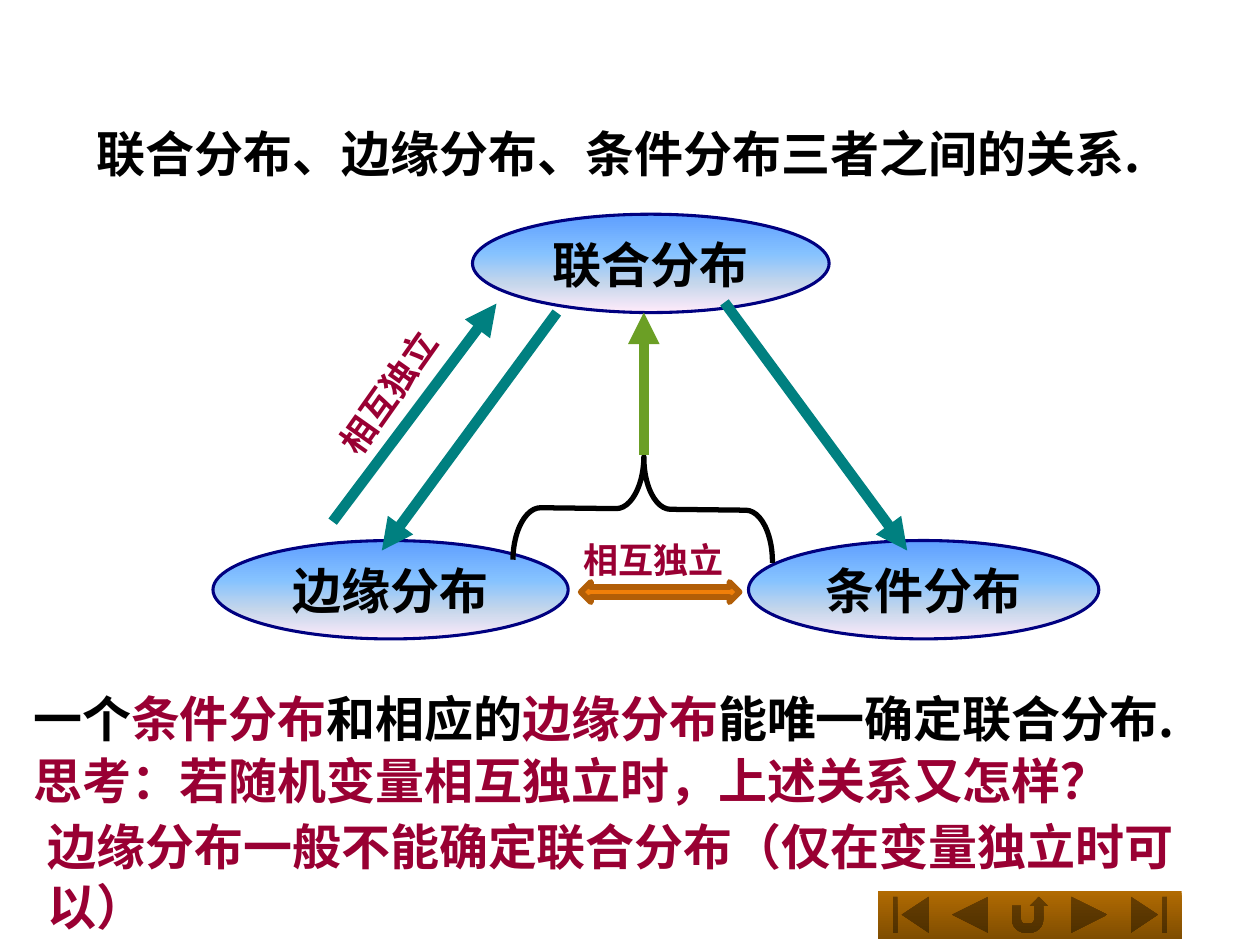
"""Build the slide on how joint, marginal and conditional distributions relate."""
from dataclasses import dataclass

from lxml import etree
from pptx import Presentation
from pptx.dml.color import RGBColor
from pptx.enum import shapes as kinds, text as txt
from pptx.oxml import ns
from pptx.util import Pt

BLACK = RGBColor(0x00, 0x00, 0x00)
RED = RGBColor(0x99, 0x00, 0x33)
NAVY = RGBColor(0x00, 0x00, 0x80)
TEAL = RGBColor(0x00, 0x80, 0x80)
GREEN = RGBColor(0x6B, 0x9F, 0x25)
ORANGE = RGBColor(0xF0, 0x7F, 0x09)
BROWN = RGBColor(0xB2, 0x5E, 0x07)
SKY = ((0, RGBColor(0x5E, 0x9E, 0xFF)), (40, RGBColor(0x85, 0xC2, 0xFF)),
       (70, RGBColor(0xC4, 0xD6, 0xEB)), (100, RGBColor(0xFF, 0xEB, 0xFA)))
WOOD = ((0, RGBColor(0xB2, 0x6B, 0x02)), (100, RGBColor(0x7F, 0x4D, 0x01)))
SANS, HAN = "DejaVu Sans", "Noto Sans CJK SC"
SHAPE = kinds.MSO_SHAPE


@dataclass
class Box:
    left: float
    top: float
    width: float
    height: float

    def frame(self) -> tuple:
        return Pt(self.left), Pt(self.top), Pt(self.width), Pt(self.height)


@dataclass
class Node:
    box: Box
    name: str


@dataclass
class Arrow:
    start: tuple
    end: tuple
    color: RGBColor = TEAL


@dataclass
class Line:
    box: Box
    spans: tuple
    inset: float = 7.2


@dataclass
class Label:
    left: float
    top: float
    turn: float = 0


NODES = (
    Node(Box(270, 122.4, 203.8, 56.2), "联合分布"),
    Node(Box(121.7, 308.9, 203, 56.2), "边缘分布"),
    Node(Box(427.7, 308.9, 200.2, 56.2), "条件分布"),
)
ARROWS = (
    Arrow((367.9, 259.9), (367.9, 178.6), GREEN),
    Arrow((318.2, 178.6), (218.2, 314.6)),
    Arrow((414, 172.8), (518.4, 314.6)),
    Arrow((190.1, 298.1), (283.7, 173.5)),
)
LINES = (
    Line(Box(48.2, 65.5, 612, 41),
         (("联合分布、边缘分布、条件分布三者之间的关系.", BLACK),)),
    Line(Box(5, 388.1, 715, 41),
         (("一个", BLACK), ("条件分布", RED), ("和相应的", BLACK),
          ("边缘分布", RED), ("能唯一确定联合分布.", BLACK)), 14),
    Line(Box(5, 423.4, 715, 41),
         (("思考：若随机变量相互独立时，上述关系又怎样？", RED),), 14),
    Line(Box(20.2, 461.5, 692, 75),
         (("边缘分布一般不能确定联合分布（仅在变量独立时可以）", RED),)),
)
LABELS = (Label(326.2, 303.8), Label(174.2, 207.4, 305.2))
KEYS = (SHAPE.ACTION_BUTTON_BEGINNING, SHAPE.ACTION_BUTTON_BACK_OR_PREVIOUS,
        SHAPE.ACTION_BUTTON_RETURN, SHAPE.ACTION_BUTTON_FORWARD_OR_NEXT,
        SHAPE.ACTION_BUTTON_END)


def style(run, color: RGBColor, size: float, face: str = HAN) -> None:
    font = run.font
    font.size, font.bold, font.name = Pt(size), True, face
    font.color.rgb = color
    east = etree.Element(ns.qn("a:ea"), typeface=HAN)
    run._r.rPr.find(ns.qn("a:latin")).addnext(east)


def blend(shape, stops: tuple) -> None:
    shape.fill.gradient()
    shape.fill.gradient_angle = 270
    grad = shape._element.spPr.find(ns.qn("a:gradFill"))
    items = grad.find(ns.qn("a:gsLst"))
    for old in list(items):
        items.remove(old)
    for place, color in stops:
        stop = etree.SubElement(items, ns.qn("a:gs"), pos=str(place * 1000))
        etree.SubElement(stop, ns.qn("a:srgbClr"), val=str(color))


def add_form(slide, kind, box: Box):
    shape = slide.shapes.add_shape(kind, *box.frame())
    shape.shadow.inherit = False
    return shape


def add_node(slide, node: Node) -> None:
    oval = add_form(slide, SHAPE.OVAL, node.box)
    blend(oval, SKY)
    oval.line.color.rgb, oval.line.width = NAVY, Pt(1.75)
    frame = oval.text_frame
    frame.text = node.name
    frame.vertical_anchor = txt.MSO_ANCHOR.MIDDLE
    para = frame.paragraphs[0]
    para.alignment = txt.PP_ALIGN.CENTER
    para.line_spacing = Pt(34)
    style(para.runs[0], BLACK, 28, SANS)


def add_arrow(slide, arrow: Arrow) -> None:
    ends = [Pt(n) for n in arrow.start + arrow.end]
    link = slide.shapes.add_connector(kinds.MSO_CONNECTOR.STRAIGHT, *ends)
    link.line.color.rgb, link.line.width = arrow.color, Pt(6)
    rule = link._element.spPr.find(ns.qn("a:ln"))
    etree.SubElement(rule, ns.qn("a:tailEnd"), type="triangle")
    etree.SubElement(link._element.spPr, ns.qn("a:effectLst"))


def add_brace(slide) -> None:
    brace = add_form(slide, SHAPE.RIGHT_BRACE, Box(337.7, 216.7, 59.8, 148.3))
    brace.rotation = 270.7
    brace.adjustments[0], brace.adjustments[1] = 0.26, 0.5
    brace.fill.background()
    brace.line.color.rgb, brace.line.width = BLACK, Pt(3)


def add_line(slide, line: Line) -> None:
    frame = slide.shapes.add_textbox(*line.box.frame()).text_frame
    frame.word_wrap = True
    frame.margin_left, frame.margin_top = Pt(line.inset), Pt(5)
    para = frame.paragraphs[0]
    para.line_spacing = Pt(34)
    for words, color in line.spans:
        run = para.add_run()
        run.text = words
        style(run, color, 28)


def add_label(slide, label: Label) -> None:
    box = Box(label.left, label.top, 95.8, 31.7)
    shape = slide.shapes.add_textbox(*box.frame())
    shape.rotation = label.turn
    frame = shape.text_frame
    frame.text = "相互独立"
    frame.word_wrap = False
    para = frame.paragraphs[0]
    para.line_spacing = Pt(24.5)
    style(para.runs[0], RED, 20)


def add_keys(slide) -> None:
    for i, kind in enumerate(KEYS):
        key = add_form(slide, kind, Box(501.8 + 34 * i, 509, 37.4, 27.4))
        blend(key, WOOD)
        key.line.fill.background()


def main() -> None:
    deck = Presentation()
    deck.slide_width, deck.slide_height = Pt(720), Pt(540)
    slide = deck.slides.add_slide(deck.slide_layouts[6])
    for node in NODES:
        add_node(slide, node)
    add_brace(slide)
    for arrow in ARROWS:
        add_arrow(slide, arrow)
    add_keys(slide)
    for line in LINES:
        add_line(slide, line)
    both = add_form(slide, SHAPE.LEFT_RIGHT_ARROW, Box(331.9, 332.6, 90.7, 11.5))
    both.fill.solid()
    both.fill.fore_color.rgb = ORANGE
    both.line.color.rgb, both.line.width = BROWN, Pt(3.35)
    for label in LABELS:
        add_label(slide, label)
    deck.save("out.pptx")


if __name__ == "__main__":
    main()
